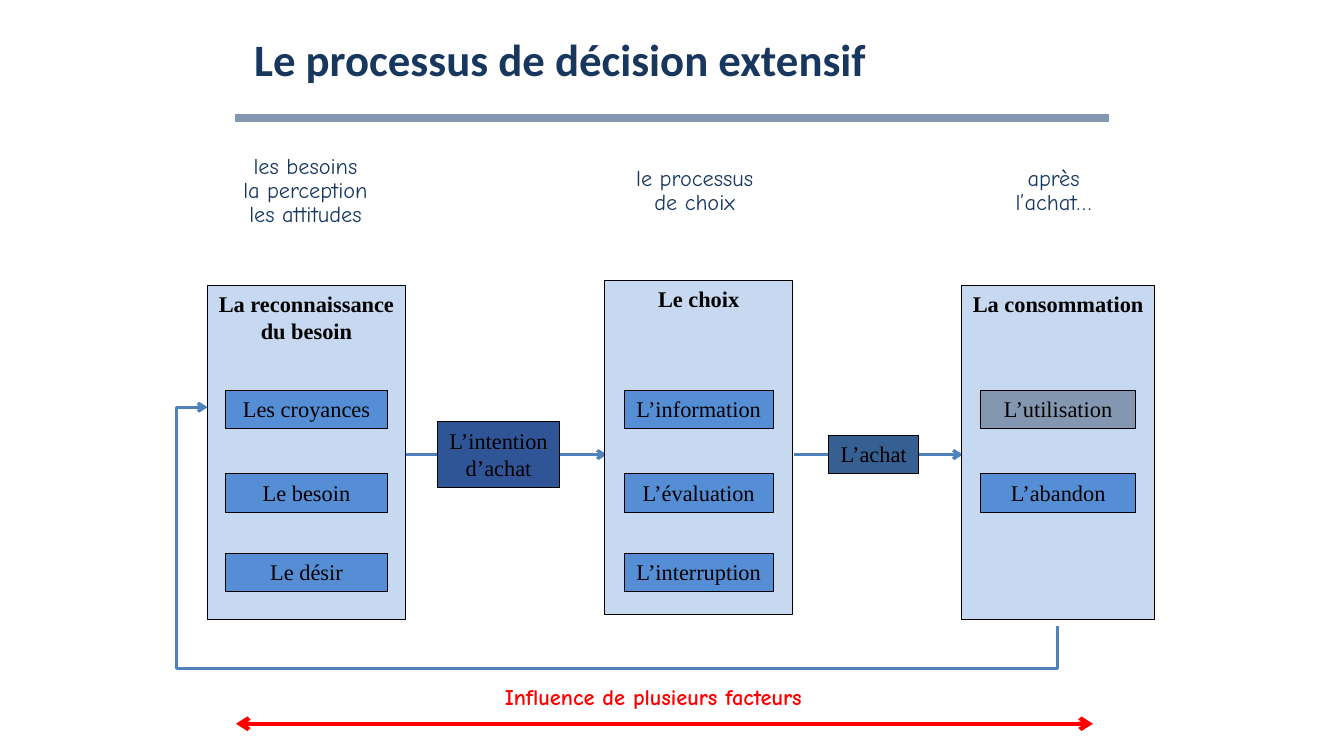
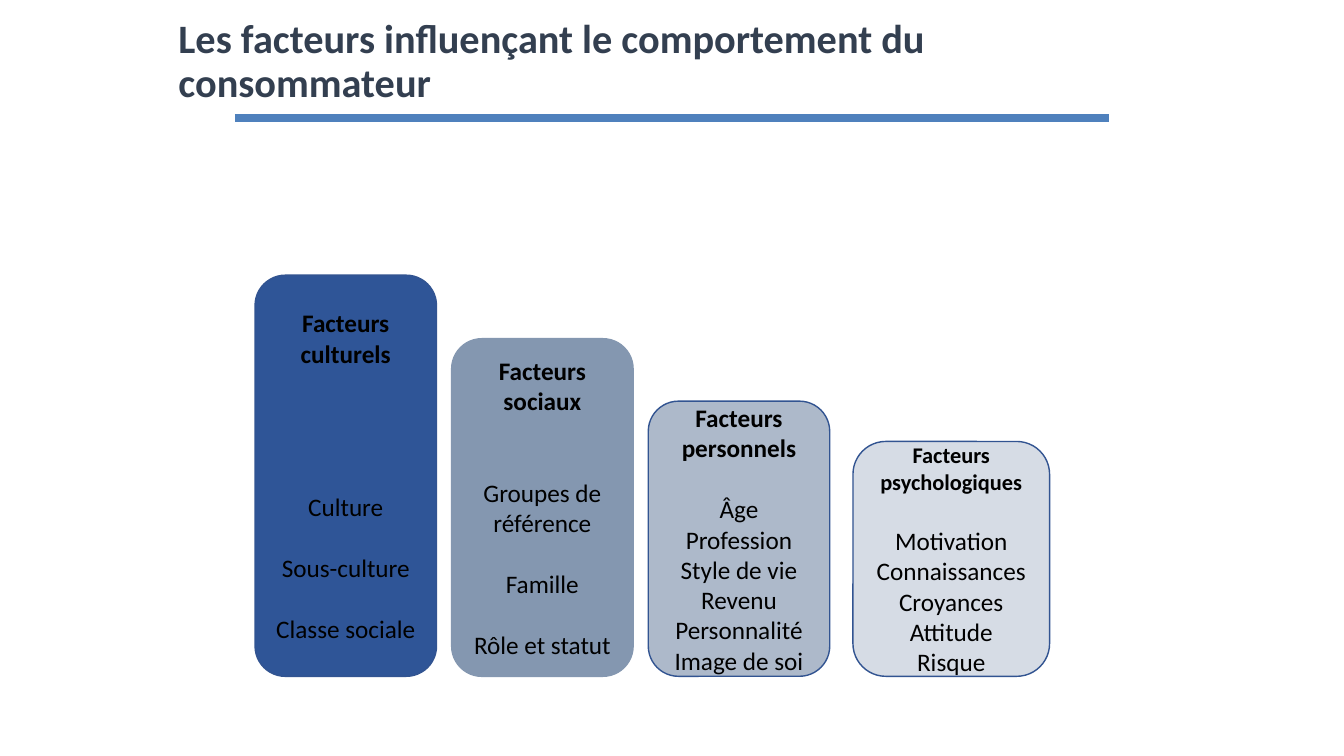
"""Build two slides on the consumer decision process and its influences."""
from dataclasses import dataclass

from lxml.etree import SubElement
from pptx import Presentation
from pptx.dml.color import RGBColor
from pptx.enum.shapes import MSO_CONNECTOR as Line, MSO_SHAPE as Shape
from pptx.enum.text import MSO_ANCHOR as Anchor, MSO_AUTO_SIZE as AutoSize, PP_ALIGN as Align
from pptx.oxml.ns import qn
from pptx.util import Inches, Pt

BLACK, WHITE, RED = "000000", "FFFFFF", "FF0000"
NAVY, BLUE, SLATE = "17375E", "4F81BD", "8497B0"
PANEL, STEP, DEEP, EDGE = "C6D9F1", "558ED5", "2F5597", "325491"
SERIF, SANS, HAND = "Times New Roman", "Calibri", "Comic Neue"
STEP_TOPS = (3.87, 4.7, 5.49)
STEP_H, STAGE_H = 0.38, 3.32
FLOW_Y, LOOP_Y, CARD_BOTTOM = 4.51, 6.63, 6.71
LINE_PT = 22


@dataclass
class Stage:
    """A panel of the process with its caption and steps."""
    left: float
    top: float
    width: float
    heading: str
    step_width: float
    steps: tuple[tuple[str, str], ...]
    caption: str
    caption_x: float


@dataclass
class Event:
    """A box on the flow line between two stages."""
    left: float
    width: float
    height: float
    text: str
    fill: str
    line_from: float
    line_to: float


@dataclass
class Card:
    """A group of factors, with gaps counted in text lines."""
    left: float
    top: float
    width: float
    fill: str
    edge: str
    heading: str
    heading_size: int
    items: tuple[str, ...]
    first_gap: int
    item_gap: int


STAGES = (
    Stage(2.06, 2.83, 1.96, "La reconnaissance\ndu besoin", 1.61,
          (("Les croyances", STEP), ("Le besoin", STEP), ("Le désir", STEP)),
          "les besoins\nla perception\nles attitudes", 3.03),
    Stage(6, 2.78, 1.86, "Le choix", 1.48,
          (("L’information", STEP), ("L’évaluation", STEP), ("L’interruption", STEP)),
          "le processus\nde choix", 6.89),
    Stage(9.54, 2.83, 1.91, "La consommation", 1.54,
          (("L’utilisation", SLATE), ("L’abandon", STEP)),
          "après\nl’achat…", 10.45),
)
EVENTS = (
    Event(4.34, 1.21, 0.65, "L’intention\nd’achat", DEEP, 3.91, 6.02),
    Event(8.22, 0.89, 0.38, "L’achat", "376092", 7.88, 9.55),
)
CARDS = (
    Card(2.53, 2.73, 1.8, DEEP, EDGE, "Facteurs culturels", 18,
         ("Culture", "Sous-culture", "Classe sociale"), 4, 1),
    Card(4.48, 3.36, 1.8, SLATE, SLATE, "Facteurs sociaux", 18,
         ("Groupes de référence", "Famille", "Rôle et statut"), 2, 1),
    Card(6.43, 3.98, 1.8, "ADB9CA", EDGE, "Facteurs personnels", 18,
         ("Âge", "Profession", "Style de vie", "Revenu", "Personnalité", "Image de soi"), 1, 0),
    Card(8.46, 4.38, 1.95, "D6DCE5", EDGE, "Facteurs psychologiques", 16,
         ("Motivation", "Connaissances", "Croyances", "Attitude", "Risque"), 1, 0),
)


def rgb(value: str) -> RGBColor:
    """Turn a hex string into a colour."""
    return RGBColor.from_string(value)


def style(p, font: str, size: float, color: str, bold: bool = False,
          align=Align.CENTER, spacing: float = 1.0) -> None:
    """Format a paragraph and its runs."""
    p.alignment, p.line_spacing = align, spacing
    for r in p.runs:
        r.font.name, r.font.size, r.font.bold = font, Pt(size), bold
        r.font.color.rgb = rgb(color)


def add_title(prs, text: str, box: tuple[float, ...], size: float, color: str, rule: str):
    """Add a slide with its title and the rule below it."""
    slide = prs.slides.add_slide(prs.slide_layouts[5])
    s = slide.shapes.title
    s.left, s.top, s.width, s.height = map(Inches, box)
    tf = s.text_frame
    tf.text = text
    tf.word_wrap, tf.auto_size, tf.vertical_anchor = True, AutoSize.NONE, Anchor.MIDDLE
    style(tf.paragraphs[0], SANS, size, color, True, Align.LEFT, 0.9)
    add_line(slide, (2.33, 1.17), (11, 1.17), rule, 6)
    return slide


def style_line(s, color: str, width: float, head: bool = False, tail: bool = False) -> None:
    """Set the stroke and arrowheads of a line and drop its shadow."""
    s.line.color.rgb, s.line.width = rgb(color), Pt(width)
    sp_pr = s.element.spPr
    ln = sp_pr.find(qn("a:ln"))
    for tag, wanted in (("a:headEnd", head), ("a:tailEnd", tail)):
        if wanted:
            SubElement(ln, qn(tag), type="arrow")
    SubElement(sp_pr, qn("a:effectLst"))


def add_line(slide, start: tuple[float, float], end: tuple[float, float], color: str,
             width: float, head: bool = False, tail: bool = False) -> None:
    """Draw a straight line."""
    s = slide.shapes.add_connector(Line.STRAIGHT, *map(Inches, start + end))
    style_line(s, color, width, head, tail)


def add_shape(slide, kind, box: tuple[float, ...], fill: str | None, edge: str | None, width: float = 0.75):
    """Draw a preset shape without shadow."""
    s = slide.shapes.add_shape(kind, *map(Inches, box))
    s.shadow.inherit = False
    if fill:
        s.fill.solid()
        s.fill.fore_color.rgb = rgb(fill)
    else:
        s.fill.background()
    if edge:
        s.line.color.rgb, s.line.width = rgb(edge), Pt(width)
    else:
        s.line.fill.background()
    return s


def add_box(slide, box: tuple[float, ...], text: str, fill: str | None = None,
            edge: str | None = BLACK, font: str = SERIF, color: str = BLACK,
            bold: bool = False, anchor=Anchor.TOP, spacing: float = 1.0) -> None:
    """Draw a rectangle with centred lines of text."""
    tf = add_shape(slide, Shape.RECTANGLE, box, fill, edge).text_frame
    tf.text = text
    tf.word_wrap, tf.vertical_anchor = False, anchor
    for p in tf.paragraphs:
        style(p, font, 16, color, bold, spacing=spacing)


def add_stage(slide, stage: Stage) -> None:
    """Draw a stage with its steps centred in the panel."""
    add_box(slide, (stage.left, stage.top, stage.width, STAGE_H), stage.heading, PANEL, bold=True)
    left = stage.left + (stage.width - stage.step_width) / 2
    for top, (text, fill) in zip(STEP_TOPS, stage.steps):
        add_box(slide, (left, top, stage.step_width, STEP_H), text, fill)
    add_box(slide, (stage.caption_x - 0.8, 1.48, 1.6, 0.83), stage.caption, edge=None,
            font=HAND, color=NAVY, anchor=Anchor.MIDDLE, spacing=0.9)


def add_event(slide, event: Event) -> None:
    """Draw an event over its flow arrow."""
    add_line(slide, (event.line_from, FLOW_Y), (event.line_to, FLOW_Y), BLUE, 2.25, tail=True)
    box = (event.left, FLOW_Y - event.height / 2, event.width, event.height)
    add_box(slide, box, event.text, event.fill)


def add_loop(slide, points: tuple[tuple[float, float], ...]) -> None:
    """Draw the feedback arrow through the given points."""
    start, *rest = [(Inches(x), Inches(y)) for x, y in points]
    builder = slide.shapes.build_freeform(*start)
    builder.add_line_segments(rest, close=False)
    s = builder.convert_to_shape()
    s.fill.background()
    style_line(s, BLUE, 2.25, tail=True)


def add_card(slide, card: Card) -> None:
    """Draw a card standing on the common base line."""
    box = (card.left, card.top, card.width, CARD_BOTTOM - card.top)
    tf = add_shape(slide, Shape.ROUNDED_RECTANGLE, box, card.fill, card.edge, 1).text_frame
    tf.text = "\n".join((card.heading, *card.items))
    tf.word_wrap, tf.vertical_anchor = True, Anchor.MIDDLE
    heading, *items = tf.paragraphs
    style(heading, SANS, card.heading_size, BLACK, True)
    for i, p in enumerate(items):
        style(p, SANS, 18, BLACK)
        p.space_before = Pt(LINE_PT * (card.item_gap if i else card.first_gap))


def build_process(prs) -> None:
    """Build the decision process slide."""
    slide = add_title(prs, "Le processus de décision extensif", (2.42, 0.33, 8.5, 0.58), 32, NAVY, SLATE)
    add_line(slide, (2.34, 7.18), (10.84, 7.18), RED, 3, head=True, tail=True)
    for event in EVENTS:
        add_event(slide, event)
    for stage in STAGES:
        add_stage(slide, stage)
    add_loop(slide, ((10.49, 6.21), (10.49, LOOP_Y), (1.75, LOOP_Y), (1.75, 4.04), (2.06, 4.04)))
    add_box(slide, (4.67, 6.76, 3.62, 0.35), "Influence de plusieurs facteurs", WHITE, None,
            HAND, RED, True, spacing=0.9)


def build_factors(prs) -> None:
    """Build the influencing factors slide."""
    slide = add_title(prs, "Les facteurs influençant le comportement du consommateur",
                      (1.67, 0.3, 9.75, 0.64), 28.8, "333F50", BLUE)
    for card in CARDS:
        add_card(slide, card)


def main() -> None:
    """Build and save the presentation."""
    prs = Presentation()
    prs.slide_width, prs.slide_height = Inches(13.33), Inches(7.5)
    build_process(prs)
    build_factors(prs)
    prs.save("out.pptx")


if __name__ == "__main__":
    main()
